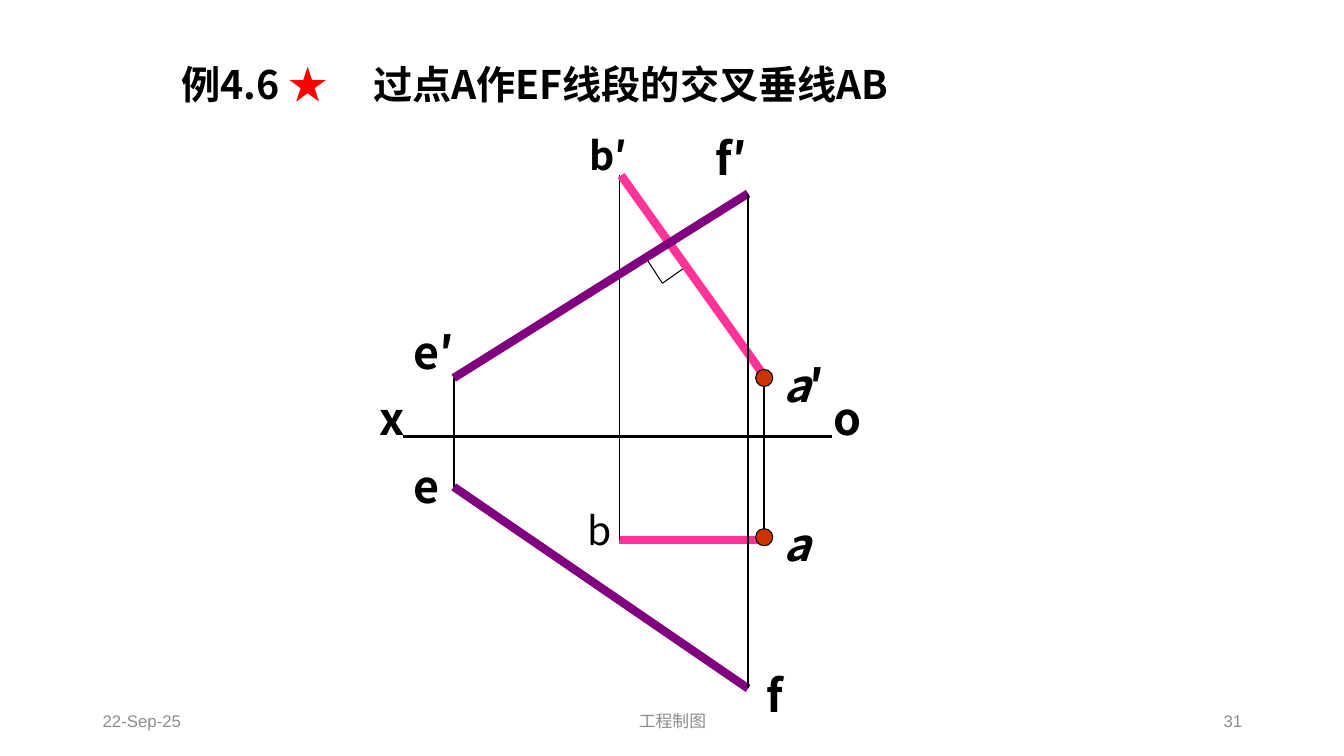
from pptx import Presentation
from pptx.dml.color import RGBColor
from pptx.enum.shapes import MSO_CONNECTOR as LINE, MSO_SHAPE as SHAPE
from pptx.enum.text import MSO_ANCHOR as ANCHOR, MSO_AUTO_SIZE as FIT, PP_ALIGN as ALIGN
from pptx.oxml.ns import qn
from pptx.util import Inches, Pt
from lxml import etree

BLACK = RGBColor(0, 0, 0)
RED = RGBColor(0xFF, 0, 0)
PINK = RGBColor(0xFF, 0x33, 0x99)
PURPLE = RGBColor(0x80, 0, 0x80)
RUST = RGBColor(0xCC, 0x33, 0)
GRAY = RGBColor(0x8C, 0x8C, 0x8C)
SANS = "Noto Sans CJK SC"

# Content
HEADING = [("例4.6 ", BLACK), ("★\t", RED), ("过点A作EF线段的交叉垂线AB", BLACK)]
HEAD_TAB = 1.9

POINTS = {
    "e′": (4.5, 3.75), "e": (4.5, 4.83),
    "f′": (7.42, 1.92), "f": (7.42, 6.83),
    "a′": (7.58, 3.75), "a": (7.58, 5.33),
    "b′": (6.14, 1.74), "b": (6.14, 5.36),
    "x": (4, 4.33), "o": (8.25, 4.33),
    "pink a": (7.59, 5.36), "pink a′": (7.63, 3.8), "pink b′": (6.16, 1.74),
    "foot 1": (6.42, 2.58), "corner": (6.57, 2.81), "foot 2": (6.77, 2.67),
}
LINES = [  # from, to, colour, points
    ("pink a", "b", PINK, 6),
    ("b′", "b", BLACK, 0.75),
    ("pink a′", "pink b′", PINK, 6),
    ("foot 1", "corner", BLACK, 0.75),
    ("corner", "foot 2", BLACK, 0.75),
    ("a′", "a", BLACK, 1.5),
    ("x", "o", BLACK, 1.5),
    ("e′", "f′", PURPLE, 6),
    ("e", "f", PURPLE, 6),
    ("e′", "e", BLACK, 1.5),
    ("f′", "f", BLACK, 1.5),
]
DOTS, DOT = ["a", "a′"], 0.17
LABELS = [  # text, left, top, width, size, bold
    ("b", 5.73, 4.97, 0.72, 28, False),
    ("b′", 5.75, 1.25, 0.92, 28, True),
    ("x", 3.67, 3.83, 0.5, 32, True),
    ("o", 8.17, 3.83, 0.42, 32, True),
    ("e′", 4, 3.17, 1.25, 32, True),
    ("f′", 7, 1.25, 1, 32, True),
    ("a′", 7.67, 3.5, 1, 32, True),
    ("e", 4, 4.5, 0.5, 32, True),
    ("f", 7.5, 6.58, 0.5, 32, True),
    ("a", 7.67, 5.08, 0.5, 32, True),
]
HEIGHT = {28: 0.57, 32: 0.63}
FOOTER = [  # text, left, width, alignment
    ("22-Sep-25", 0.92, 3, ALIGN.LEFT),
    ("工程制图", 4.42, 4.5, ALIGN.CENTER),
    ("31", 9.42, 3, ALIGN.RIGHT),
]

deck = Presentation()
deck.slide_width, deck.slide_height = Inches(13.33), Inches(7.5)
slide = deck.slides.add_slide(deck.slide_layouts[5])
shapes = slide.shapes


def style(run, size, color, face=SANS, bold=False):
    font = run.font
    font.size, font.name, font.bold = Pt(size), face, bold
    font.color.rgb = color
    etree.SubElement(run._r.get_or_add_rPr(), qn("a:ea")).set("typeface", face)


def add_box(left, top, width, height):
    box = shapes.add_textbox(*map(Inches, (left, top, width, height)))
    box.text_frame.word_wrap = True
    return box.text_frame


# Heading
title = shapes.title
title.left, title.top, title.width, title.height = map(Inches, (1.7, 0.64, 7.83, 0.75))
frame = title.text_frame
frame.vertical_anchor, frame.auto_size = ANCHOR.TOP, FIT.NONE
para = frame.paragraphs[0]
para.alignment, para.line_spacing = ALIGN.LEFT, 0.8
tabs = etree.SubElement(para._p.get_or_add_pPr(), qn("a:tabLst"))
etree.SubElement(tabs, qn("a:tab"), pos=str(Inches(HEAD_TAB)), algn="l")
for text, color in HEADING:
    run = para.add_run()
    run.text = text
    style(run, 28, color, bold=True)

# Projection lines
for start, end, color, width in LINES:
    ends = map(Inches, POINTS[start] + POINTS[end])
    line = shapes.add_connector(LINE.STRAIGHT, *ends)
    line.line.color.rgb, line.line.width = color, Pt(width)
    etree.SubElement(line._element.spPr, qn("a:effectLst"))

# Dots at the projections of A
for name in DOTS:
    x, y = POINTS[name]
    dot = shapes.add_shape(SHAPE.OVAL, Inches(x - DOT / 2), Inches(y - DOT / 2),
                           Inches(DOT), Inches(DOT))
    dot.shadow.inherit = False
    dot.fill.solid()
    dot.fill.fore_color.rgb = RUST
    dot.line.color.rgb, dot.line.width = BLACK, Pt(0.75)

# Point labels: the letter a is italic, its prime is upright
for text, left, top, width, size, bold in LABELS:
    frame = add_box(left, top, width, HEIGHT[size])
    frame.auto_size = FIT.SHAPE_TO_FIT_TEXT
    for part in (text if text[0] == "a" else [text]):
        run = frame.paragraphs[0].add_run()
        run.text = part
        style(run, size, BLACK, bold=bold)
        run.font.italic = part == "a"

# Footer
for text, left, width, align in FOOTER:
    frame = add_box(left, 6.95, width, 0.4)
    frame.vertical_anchor = ANCHOR.MIDDLE
    frame.text = text
    para = frame.paragraphs[0]
    para.alignment = align
    style(para.runs[0], 12, GRAY, "Arial")

deck.save("out.pptx")
